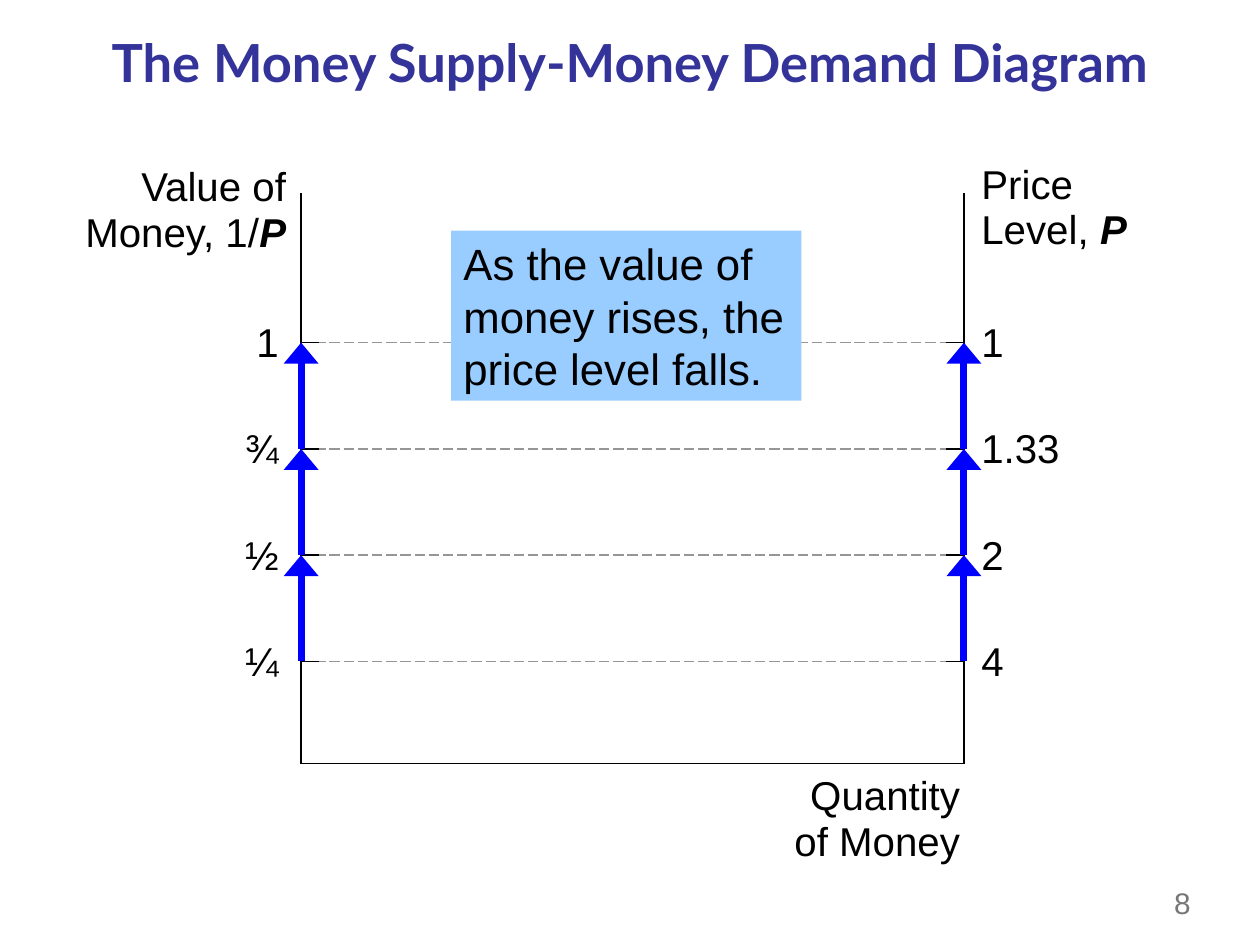
from lxml import etree
from pptx import Presentation
from pptx.dml.color import RGBColor
from pptx.enum.dml import MSO_LINE
from pptx.enum.shapes import MSO_CONNECTOR, MSO_SHAPE
from pptx.enum.text import MSO_ANCHOR, PP_ALIGN
from pptx.oxml.ns import qn
from pptx.util import Inches, Pt

LEFT, MID, RIGHT = PP_ALIGN.LEFT, PP_ALIGN.CENTER, PP_ALIGN.RIGHT
TOP, HALF = MSO_ANCHOR.TOP, MSO_ANCHOR.MIDDLE
DASH = MSO_LINE.LONG_DASH

WIDE, HIGH = 10, 7.5
COLORS = {"title": "333399", "ink": "000000", "guide": "969696",
          "arrow": "0000FF", "note": "99CCFF", "page": "777777"}

TITLE = "The Money Supply-Money Demand Diagram"
NOTE = "As the value of money rises, the price level falls."
LEVELS = [("1", "1"), ("¾", "1.33"), ("½", "2"), ("¼", "4")]

# Plot frame: two upright axes, a base, and evenly spaced levels
X1, X2 = 2.39, 7.65
CAP, BASE = 1.53, 6.06
FIRST, STEP = 2.72, 0.843
TICK = 0.14
EDGE = 7.69  # left edge of the labels on the right axis

deck = Presentation()
deck.slide_width, deck.slide_height = Inches(WIDE), Inches(HIGH)
slide = deck.slides.add_slide(deck.slide_layouts[6])
shapes = slide.shapes


def paint(name):
    return RGBColor.from_string(COLORS[name])


def write(text, box, size=23, color="ink", font="Arial", align=LEFT,
          anchor=TOP, bold=False, end="", space=None, fill=None):
    """Add a text box; end is a closing run in bold italics."""
    place = [Inches(v) for v in box]
    if fill:
        shape = shapes.add_shape(MSO_SHAPE.RECTANGLE, *place)
        shape.shadow.inherit = False
        shape.fill.solid()
        shape.fill.fore_color.rgb = paint(fill)
        shape.line.fill.background()
    else:
        shape = shapes.add_textbox(*place)
    frame = shape.text_frame
    frame.word_wrap = True
    frame.vertical_anchor = anchor
    para = frame.paragraphs[0]
    para.text = text
    para.alignment = align
    if space:
        para.line_spacing = space
    if end:
        para.add_run().text = end
    para.font.size = Pt(size)
    for run in para.runs:
        look = run.font
        look.name, look.size, look.bold = font, Pt(size), bold
        look.color.rgb = paint(color)
    if end:
        look.bold = look.italic = True


def draw(x1, y1, x2, y2, color="ink", width=0.75, dash=None, arrow=False):
    line = shapes.add_connector(MSO_CONNECTOR.STRAIGHT,
                                *[Inches(v) for v in (x1, y1, x2, y2)])
    line.line.color.rgb = paint(color)
    line.line.width = Pt(width)
    if dash:
        line.line.dash_style = dash
    props = line._element.spPr
    if arrow:
        etree.SubElement(props.find(qn("a:ln")), qn("a:tailEnd"),
                         type="triangle", w="lg", len="med")
    etree.SubElement(props, qn("a:effectLst"))


rows = [FIRST + i * STEP for i in range(len(LEVELS))]

write("8", (9.22, 6.96, 0.67, 0.41), size=17, color="page", anchor=HALF)
write(TITLE, (0, 0.13, WIDE, 0.71), size=30, color="title", font="Lato",
      align=MID, anchor=HALF, bold=True)

for y in rows:
    draw(X1, y, X2, y, color="guide", dash=DASH)
draw(X1, BASE, X2, BASE)
for x in (X1, X2):
    draw(x, BASE, x, CAP)

write("Value of Money, 1/", (0.39, 1.26, 1.98, 0.83), align=RIGHT,
      end="P", space=0.95)
write("Price \vLevel, ", (EDGE, 1.24, 1.98, 0.83), end="P", space=0.95)
write("Quantity of Money", (5.98, 6.09, 1.74, 0.83), align=RIGHT, space=0.95)

for y, (value, price) in zip(rows, LEVELS):
    draw(X1, y, X1 + TICK, y)
    draw(X2 - TICK, y, X2, y)
    write(value, (1.8, y - 0.25, 0.51, 0.49), align=RIGHT)
    write(price, (EDGE, y - 0.25, 1.07, 0.49))

write(NOTE, (3.58, 1.83, 2.78, 1.35), size=25, fill="note")

for x in (X1, X2):
    for high, low in zip(rows, rows[1:]):
        draw(x, low, x, high, color="arrow", width=4, arrow=True)

deck.save("out.pptx")
